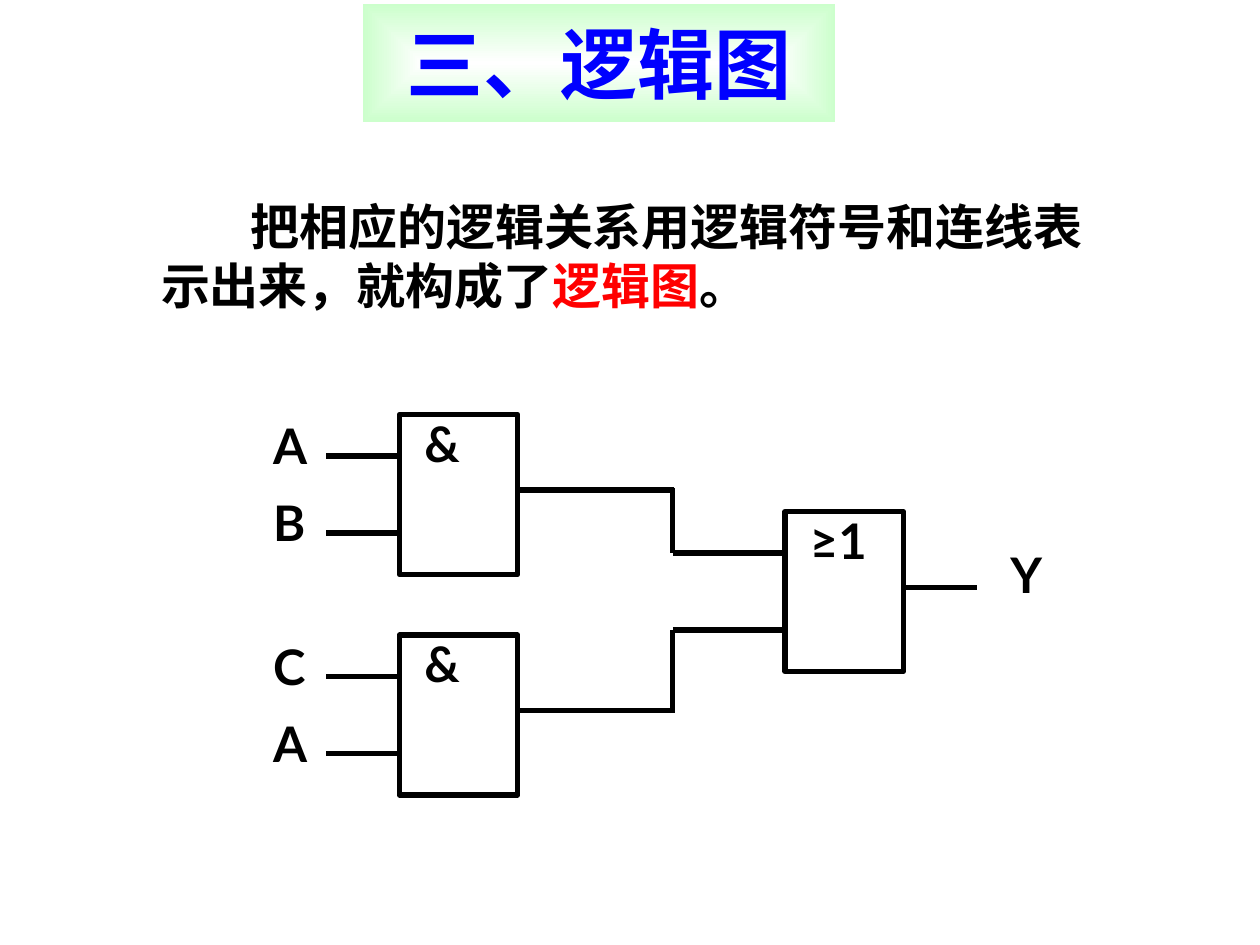
from lxml import etree
from pptx import Presentation
from pptx.dml.color import RGBColor
from pptx.enum.shapes import MSO_CONNECTOR, MSO_SHAPE
from pptx.enum.text import MSO_ANCHOR, PP_ALIGN
from pptx.oxml import parse_xml
from pptx.oxml.ns import qn
from pptx.util import Inches, Pt

BLACK = RGBColor(0, 0, 0)
RED = RGBColor(0xFF, 0, 0)
BLUE = RGBColor(0, 0, 0xFF)
WHITE = RGBColor(0xFF, 0xFF, 0xFF)
PALE_GREEN = RGBColor(0xCC, 0xFF, 0xCC)
RECTANGLE = MSO_SHAPE.RECTANGLE
STRAIGHT = MSO_CONNECTOR.STRAIGHT
MIDDLE, TOP = MSO_ANCHOR.MIDDLE, MSO_ANCHOR.TOP
CENTER, LEFT = PP_ALIGN.CENTER, PP_ALIGN.LEFT

prs = Presentation()
prs.slide_width, prs.slide_height = Inches(10), Inches(7.5)
slide = prs.slides.add_slide(prs.slide_layouts[6])
shapes = slide.shapes


def write(text, left, top, width, height=0.57, shape=None, size=28, font="Lato",
          color=BLACK, align=LEFT, anchor=TOP, indent=0, highlight=""):
    """Write bold text in a given shape or a new text box."""
    box = shape or shapes.add_textbox(*map(Inches, (left, top, width, height)))
    frame = box.text_frame
    frame.word_wrap = True
    frame.vertical_anchor = anchor
    paragraph = frame.paragraphs[0]
    paragraph.alignment = align
    if indent:
        paragraph._p.get_or_add_pPr().set("indent", str(Inches(indent)))
    before, marked, after = text.partition(highlight) if highlight else (text, "", "")
    for part, part_color in ((before, color), (marked, RED), (after, color)):
        if part:
            run = paragraph.add_run()
            run.text = part
            run.font.size, run.font.bold, run.font.name = Pt(size), True, font
            run.font.color.rgb = part_color


def wire(x1, y1, x2, y2):
    line = shapes.add_connector(STRAIGHT, *map(Inches, (x1, y1, x2, y2)))
    line.line.color.rgb = BLACK
    line.line.width = Pt(3)
    etree.SubElement(line._element.spPr, qn("a:effectLst"))


# Definition
write("把相应的逻辑关系用逻辑符号和连线表示出来，就构成了逻辑图。",
      1.18, 1.51, 7.77, 1.17, indent=0.71, highlight="逻辑图")

# Gates with two inputs and one output each
GATE_W, GATE_H, STUB = 0.94, 1.27, 0.58
INPUT_OFFSETS = (0.33, 0.94)
OUTPUT_OFFSET = 0.6
for symbol, x, y, inputs in (("&", 3.17, 3.29, "AB"),
                             ("&", 3.17, 5.04, "CA"),
                             ("≥1", 6.23, 4.06, "")):
    gate = shapes.add_shape(RECTANGLE, *map(Inches, (x, y, GATE_W, GATE_H)))
    gate.shadow.inherit = False
    gate.fill.background()
    gate.line.color.rgb = BLACK
    gate.line.width = Pt(3)
    for offset in INPUT_OFFSETS:
        wire(x - STUB, y + offset, x, y + offset)
    wire(x + GATE_W, y + OUTPUT_OFFSET, x + GATE_W + STUB, y + OUTPUT_OFFSET)
    write(symbol, x + 0.1, y - 0.06, 0.81)
    for name, offset in zip(inputs, INPUT_OFFSETS):
        write(name, x - 1.1, y + offset - 0.37, 0.5)

# Links from the AND gates to the OR gate
BEND_X = 5.34
for output_y, input_y, corner_y in ((3.89, 4.39, 3.87), (5.64, 5, 5.66)):
    wire(4.62, output_y, BEND_X + 0.01, output_y)
    wire(BEND_X, corner_y, BEND_X, input_y)
    wire(BEND_X, input_y, 5.67, input_y)
write("Y", 7.92, 4.27, 0.92)

# Title banner, white at the centre and green at the edge
banner = shapes.add_shape(RECTANGLE, *map(Inches, (2.88, 0.03, 3.75, 0.94)))
banner.shadow.inherit = False
banner.line.fill.background()
banner.fill.gradient()
for stop, color, position in zip(banner.fill.gradient_stops, (WHITE, PALE_GREEN), (0, 1)):
    stop.color.rgb = color
    stop.position = position
linear = banner._element.spPr.find(".//" + qn("a:lin"))
linear.getparent().replace(linear, parse_xml(
    '<a:path xmlns:a="http://schemas.openxmlformats.org/drawingml/2006/main" path="shape">'
    '<a:fillToRect l="50000" t="50000" r="50000" b="50000"/></a:path>'))
write("三、逻辑图", 0, 0, 0, shape=banner, size=44, font="Times New Roman",
      color=BLUE, align=CENTER, anchor=MIDDLE)

prs.save("out.pptx")
